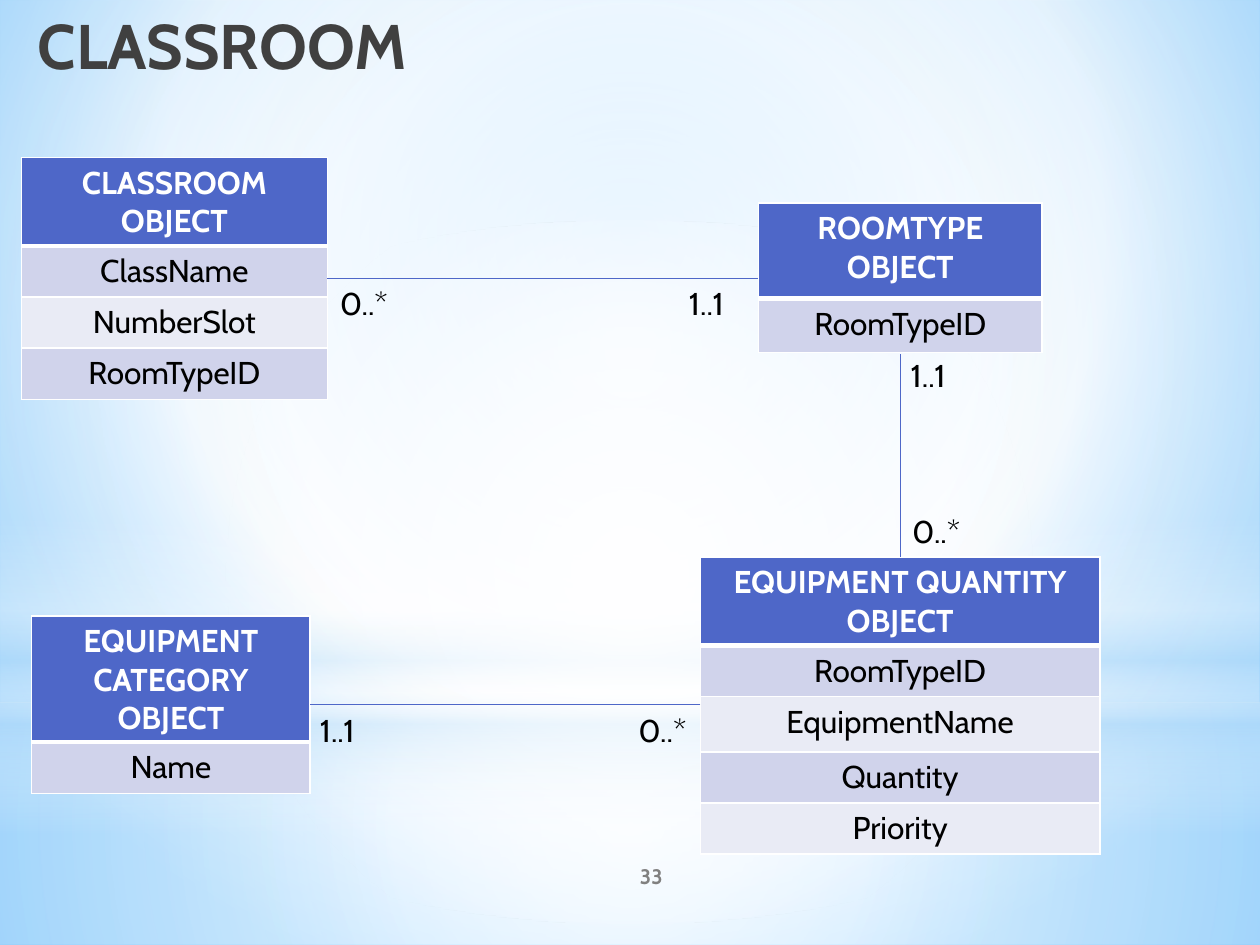
from lxml.etree import SubElement
from pptx import Presentation
from pptx.dml.color import RGBColor
from pptx.enum.shapes import MSO_CONNECTOR, MSO_SHAPE
from pptx.enum.text import MSO_ANCHOR, PP_ALIGN
from pptx.oxml.ns import qn
from pptx.util import Cm, Pt

CENTRE = (50, 50, 50, 50)


def colour(code):
    return RGBColor.from_string(code)


class DiagramSlide:
    """Draws the elements of a class diagram in one shared style."""

    font = "Cabin"
    blue = "4E67C8"
    white = "FFFFFF"
    black = "000000"
    bands = ("D0D3EB", "E9EBF5")

    def __init__(self, slide):
        self.slide = slide

    def gradient(self, owner, stops, focus=None):
        solid = owner.find(".//" + qn("a:solidFill"))
        parent = solid.getparent()
        fill = SubElement(parent, qn("a:gradFill"), rotWithShape="1")
        parent.replace(solid, fill)
        stop_list = SubElement(fill, qn("a:gsLst"))
        for position, code, opacity in stops:
            stop = SubElement(stop_list, qn("a:gs"), pos=str(position * 1000))
            tint = SubElement(stop, qn("a:srgbClr"), val=str(colour(code)))
            if opacity < 100:
                SubElement(tint, qn("a:alpha"), val=str(opacity * 1000))
        if focus:
            way = SubElement(fill, qn("a:path"), {"path": "circle"})
            sides = {side: str(share * 1000) for side, share in zip("ltrb", focus)}
            SubElement(way, qn("a:fillToRect"), sides)
        else:
            SubElement(fill, qn("a:lin"), ang="5400000", scaled="0")

    def background(self, stops, focus):
        self.slide.background.fill.solid()
        self.gradient(self.slide.element, stops, focus)

    def glow(self, kind, top, height, stops, focus=None):
        shape = self.slide.shapes.add_shape(kind, 0, Cm(top), Cm(25.4), Cm(height))
        shape.shadow.inherit = False
        shape.line.fill.background()
        shape.fill.solid()
        self.gradient(shape.element, stops, focus)

    def add_words(self, frame, words, size, code, bold=False, align=PP_ALIGN.CENTER):
        paragraph = frame.paragraphs[0]
        paragraph.alignment = align
        run = paragraph.add_run()
        run.text = words
        run.font.name = self.font
        run.font.size = Pt(size)
        run.font.bold = bold
        run.font.color.rgb = colour(code)

    def text(self, words, left, top, width, height, size, code, bold, align, wrap=True):
        box = self.slide.shapes.add_textbox(Cm(left), Cm(top), Cm(width), Cm(height))
        box.text_frame.word_wrap = wrap
        self.add_words(box.text_frame, words, size, code, bold, align)
        return box.text_frame

    def multiplicity(self, words, left, top):
        self.text(words, left, top, 1.6, 1.02, 18, self.black, False, PP_ALIGN.LEFT, False)

    def border(self, cell, side, points):
        line = SubElement(cell._tc.get_or_add_tcPr(), qn("a:ln" + side), w=str(Pt(points)))
        fill = SubElement(line, qn("a:solidFill"))
        SubElement(fill, qn("a:srgbClr"), val=str(colour(self.white)))

    def entity(self, names, left, top, width, heights):
        table = self.slide.shapes.add_table(
            len(names), 1, Cm(left), Cm(top), Cm(width), Cm(sum(heights))).table
        table.columns[0].width = Cm(width)
        for index, (name, height) in enumerate(zip(names, heights)):
            header = index == 0
            table.rows[index].height = Cm(height)
            cell = table.cell(index, 0)
            for side in "LRTB":
                thick = (index, side) in ((0, "B"), (1, "T"))
                self.border(cell, side, 3 if thick else 1)
            cell.fill.solid()
            cell.fill.fore_color.rgb = colour(
                self.blue if header else self.bands[(index - 1) % 2])
            self.add_words(cell.text_frame, name, 18,
                           self.white if header else self.black, header)

    def relation(self, *ends):
        line = self.slide.shapes.add_connector(
            MSO_CONNECTOR.STRAIGHT, *(Cm(end) for end in ends))
        line.line.color.rgb = colour(self.blue)
        line.line.width = Pt(0.75)
        SubElement(line.element.spPr, qn("a:effectLst"))


def main():
    presentation = Presentation()
    presentation.slide_width = Cm(25.4)
    presentation.slide_height = Cm(19.05)
    diagram = DiagramSlide(presentation.slides.add_slide(presentation.slide_layouts[6]))

    white, sky = "FFFFFF", "B4DCFA"
    diagram.background(
        [(0, "9ED5FF", 100), (60, white, 100), (100, "5BB9FF", 100)], (20, 10, 20, 60))
    diagram.glow(MSO_SHAPE.RECTANGLE, 14.17, 4.88,
                 [(0, white, 91), (37, white, 76), (100, sky, 79)], CENTRE)
    diagram.glow(MSO_SHAPE.RECTANGLE, 0, 14.17,
                 [(0, white, 89), (48, white, 62), (100, sky, 79)], CENTRE)
    diagram.glow(MSO_SHAPE.RECTANGLE, 10.46, 6.35,
                 [(0, white, 0), (29, white, 30), (45, sky, 40),
                  (55, white, 26), (65, sky, 60), (100, white, 0)])
    diagram.glow(MSO_SHAPE.OVAL, 4.45, 14.17, [(0, white, 100), (56, white, 0)], CENTRE)

    number = diagram.text("33", 10.59, 17.15, 5.08, 1.02, 12, "808080", True, PP_ALIGN.CENTER)
    number.vertical_anchor = MSO_ANCHOR.MIDDLE
    diagram.text("CLASSROOM", 0, 0, 8.46, 2.24, 36, "404040", True, PP_ALIGN.RIGHT)

    diagram.entity(["CLASSROOM OBJECT", "ClassName", "NumberSlot", "RoomTypeID"],
                   0.43, 3.18, 6.17, [1.78, 1.03, 1.03, 1.03])
    diagram.entity(["ROOMTYPE OBJECT", "RoomTypeID"], 15.29, 4.09, 5.72, [1.93, 1.09])
    diagram.entity(
        ["EQUIPMENT QUANTITY OBJECT", "RoomTypeID", "EquipmentName", "Quantity", "Priority"],
        14.12, 11.23, 8.05, [1.75, 1.03, 1.12, 1.03, 1.03])
    diagram.entity(["EQUIPMENT CATEGORY OBJECT", "Name"], 0.64, 12.42, 5.61, [2.54, 1.03])

    diagram.relation(6.6, 5.61, 15.29, 5.61)
    diagram.relation(18.16, 7.14, 18.16, 11.23)
    diagram.relation(14.12, 14.2, 6.25, 14.2)

    for words, left, top in [
        ("0..*", 6.6, 5.61), ("1..1", 13.64, 5.61),
        ("1..1", 18.11, 7.06), ("0..*", 18.14, 10.19),
        ("1..1", 6.2, 14.2), ("0..*", 12.62, 14.2),
    ]:
        diagram.multiplicity(words, left, top)

    presentation.save("out.pptx")


if __name__ == "__main__":
    main()
